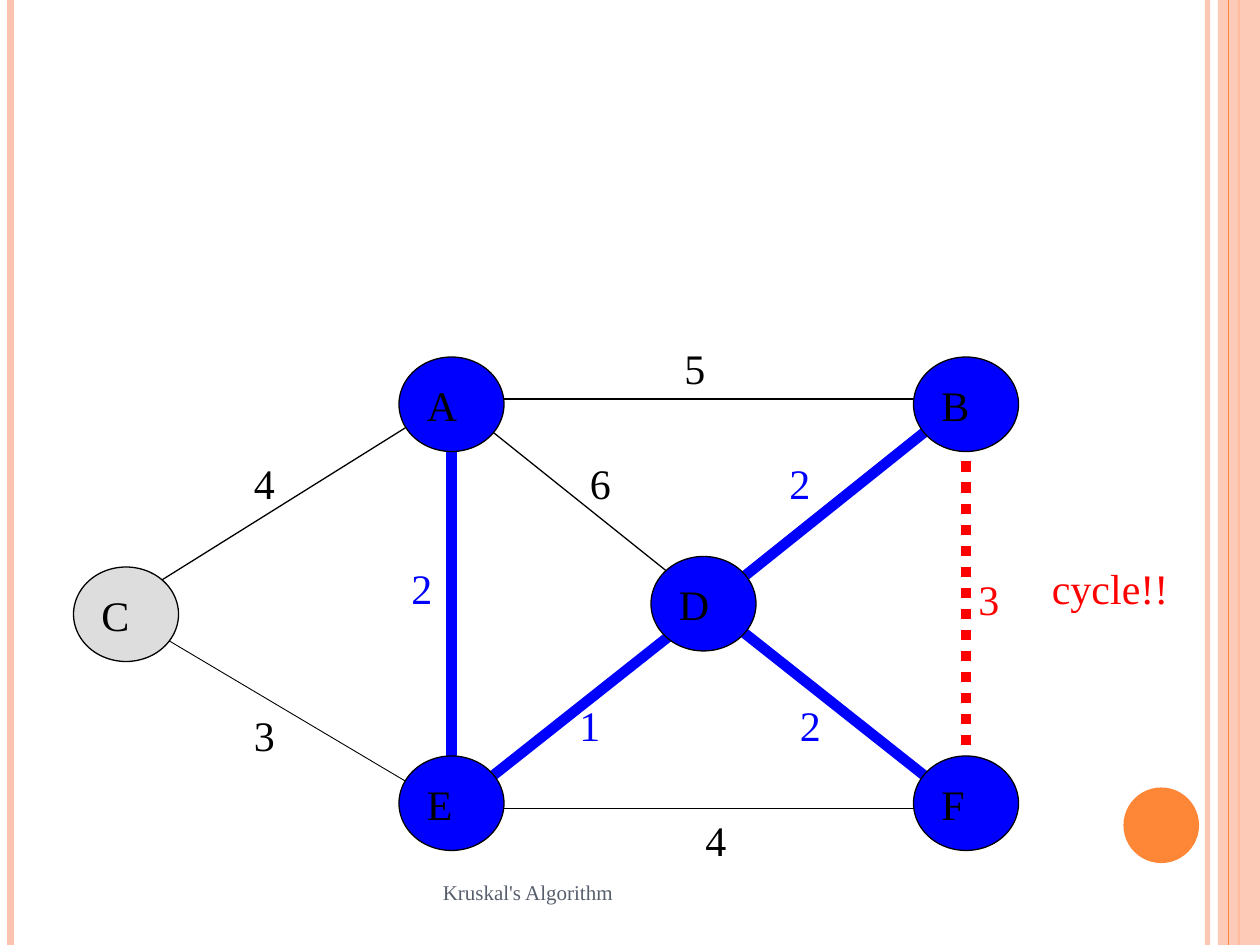
import lxml.etree
import pptx
import pptx.util
import pptx.dml.color
import pptx.enum.dml
import pptx.enum.shapes
import pptx.enum.text
import pptx.oxml.ns

RGB = pptx.dml.color.RGBColor
BLACK = RGB(0x00, 0x00, 0x00)
BLUE = RGB(0x00, 0x00, 0xFF)
RED = RGB(0xFF, 0x00, 0x00)
GRAY = RGB(0xDD, 0xDD, 0xDD)
SLATE = RGB(0x57, 0x5F, 0x6D)
PEACH = RGB(0xFE, 0xC3, 0xAE)
ORANGE = RGB(0xFE, 0x86, 0x37)

COLS, ROWS = 120, 90
NODE_W, NODE_H, LABEL = 10, 9, 6
DOT = pptx.enum.dml.MSO_LINE.ROUND_DOT
SHAPE = pptx.enum.shapes.MSO_SHAPE
MIDDLE = pptx.enum.text.MSO_ANCHOR.MIDDLE

STYLES = {
    "plain": dict(color=BLACK, width=0.75),
    "thin": dict(color=BLACK, width=0.5),
    "tree": dict(color=BLUE, width=6),
    "cycle": dict(color=RED, width=6, dash=DOT),
}
NODES = [
    ("C", 7, 54, GRAY), ("F", 87, 72, BLUE), ("E", 38, 72, BLUE),
    ("A", 38, 34, BLUE), ("B", 87, 34, BLUE), ("D", 62, 53, BLUE),
]
ENDS = {
    "A": (43, 38), "B": (92, 38), "C": (11, 58), "E": (43, 77),
    "F": (92, 77), "D left": (67, 58), "D right": (68, 58),
}
EDGES = [
    ("E", "F", "plain", "4", 66, 77),
    ("F", "B", "cycle", "3", 92, 54),
    ("B", "A", "plain", "5", 64, 32),
    ("A", "E", "tree", "2", 38, 53),
    ("D right", "F", "tree", "2", 75, 66),
    ("A", "D right", "plain", "6", 55, 43),
    ("D left", "E", "tree", "1", 54, 66),
    ("D left", "B", "tree", "2", 74, 43),
    ("C", "A", "plain", "4", 23, 43),
    ("C", "E", "thin", "3", 23, 67),
]

deck = pptx.Presentation()
deck.slide_width = pptx.util.Inches(10)
deck.slide_height = pptx.util.Inches(7.5)
slide = deck.slides.add_slide(deck.slide_layouts[6])


def grid(*cells):
    return [round(cell * deck.slide_width / COLS) for cell in cells]


def add_tag(parent, tag):
    return lxml.etree.SubElement(parent, pptx.oxml.ns.qn(tag))


def fade(item, share):
    for color in item._element.spPr.iter(pptx.oxml.ns.qn("a:srgbClr")):
        add_tag(color, "a:alpha").set("val", str(share * 1000))


def draw_line(start, end, color, width, dash=None, share=100):
    line = slide.shapes.add_connector(
        pptx.enum.shapes.MSO_CONNECTOR.STRAIGHT, *grid(*start, *end))
    line.line.color.rgb = color
    line.line.width = pptx.util.Pt(width)
    if dash:
        line.line.dash_style = dash
    if share < 100:
        fade(line, share)
    add_tag(line._element.spPr, "a:effectLst")


def draw_shape(kind, box, color, edge=None, share=100):
    shape = slide.shapes.add_shape(kind, *grid(*box))
    shape.shadow.inherit = False
    shape.fill.solid()
    shape.fill.fore_color.rgb = color
    if share < 100:
        fade(shape, share)
    if edge is None:
        shape.line.fill.background()
    else:
        shape.line.color.rgb = edge
        shape.line.width = pptx.util.Pt(0.75)
    return shape


def put_text(text, box=None, shape=None, size=24, color=BLACK, anchor=None, wrap=True):
    frame = (shape or slide.shapes.add_textbox(*grid(*box))).text_frame
    frame.word_wrap = wrap
    if anchor is not None:
        frame.vertical_anchor = anchor
    para = frame.paragraphs[0]
    para.alignment = pptx.enum.text.PP_ALIGN.LEFT
    run = para.add_run()
    run.text = text
    run.font.name = "Times New Roman"
    run.font.size = pptx.util.Pt(size)
    run.font.color.rgb = color


def draw_rule(col, color, width, share=100):
    draw_line((col, 0), (col, ROWS), color, width, share=share)


draw_rule(115, PEACH, 3, share=93)
draw_rule(1, PEACH, 4.5)
draw_rule(118, ORANGE, 1.5)
draw_shape(SHAPE.RECTANGLE, (116, 0, 4, ROWS), PEACH, share=87)
draw_rule(117, ORANGE, 0.75)
draw_shape(SHAPE.OVAL, (107, 75, 7.2, 7.2), ORANGE)
put_text("Kruskal's Algorithm", box=(41, 82, 38, 6), size=12, color=SLATE, anchor=MIDDLE)

for start, end, style, *_ in EDGES:
    draw_line(ENDS[start], ENDS[end], **STYLES[style])
for name, col, row, color in NODES:
    node = draw_shape(SHAPE.OVAL, (col, row, NODE_W, NODE_H), color, edge=BLACK)
    put_text(name, shape=node, anchor=MIDDLE)
for _, _, style, weight, col, row in EDGES:
    put_text(weight, box=(col, row, LABEL, LABEL), color=STYLES[style]["color"])
put_text("cycle!!", box=(99, 53, 13.5, LABEL), color=RED, wrap=False)

deck.save("out.pptx")
